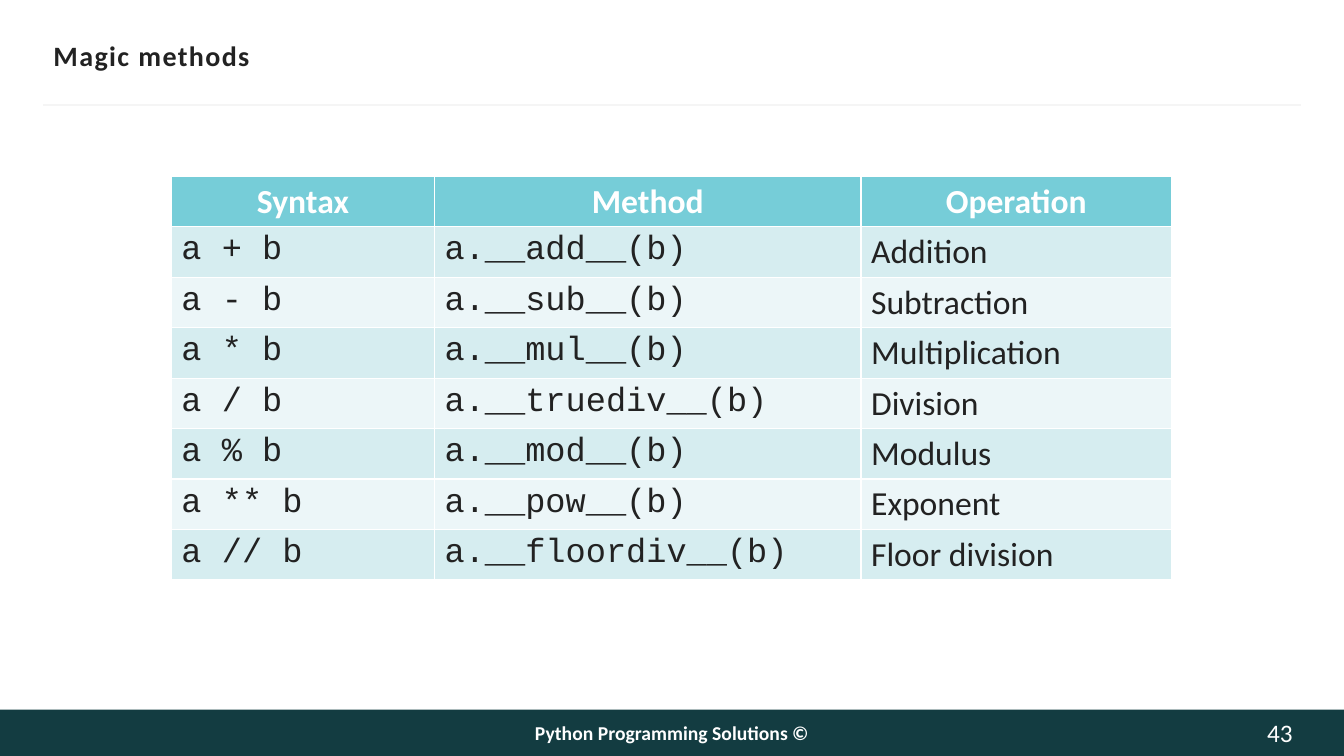
from pptx import Presentation
from pptx.dml.color import RGBColor
from pptx.enum.shapes import MSO_CONNECTOR as Line, MSO_SHAPE as Shape
from pptx.enum.text import MSO_ANCHOR as Anchor, PP_ALIGN as Align
from pptx.oxml.ns import qn
from pptx.util import Inches, Pt

WHITE = RGBColor(0xFF, 0xFF, 0xFF)
PAGE = RGBColor(0xFE, 0xFE, 0xFE)
INK = RGBColor(0x22, 0x22, 0x22)
DARK = RGBColor(0x13, 0x3C, 0x41)
RULE = RGBColor(0xF5, 0xF5, 0xF5)
HEAD = RGBColor(0x76, 0xCD, 0xD8)
BANDS = RGBColor(0xD6, 0xED, 0xF0), RGBColor(0xEC, 0xF6, 0xF8)


def write(frame, text, size, color, bold=False, align=Align.LEFT, face="Calibri"):
    para = frame.paragraphs[0]
    para.alignment = align
    run = para.add_run()
    run.text = text
    font = run.font
    font.name, font.size, font.bold = face, Pt(size), bold
    font.color.rgb = color
    return run


def add_box(left, top, width, height, side, edge, wrap):
    box = slide.shapes.add_textbox(Inches(left), Inches(top), Inches(width), Inches(height))
    frame = box.text_frame
    frame.word_wrap = wrap
    frame.vertical_anchor = Anchor.MIDDLE
    frame.margin_left = frame.margin_right = Inches(side)
    frame.margin_top = frame.margin_bottom = Inches(edge)
    return frame


deck = Presentation()
deck.slide_width, deck.slide_height = Inches(13.33), Inches(7.5)
slide = deck.slides.add_slide(deck.slide_layouts[6])

bar = slide.shapes.add_shape(Shape.RECTANGLE, 0, Inches(7.04), Inches(13.33), Inches(0.46))
bar.shadow.inherit = False
bar.fill.solid()
bar.fill.fore_color.rgb = DARK
bar.line.fill.background()

rule = slide.shapes.add_connector(
    Line.STRAIGHT, Inches(0.43), Inches(1.04), Inches(12.9), Inches(1.04))
rule.line.color.rgb = RULE
rule.line.width = Pt(1.5)
props = rule._element.spPr
props.append(props.makeelement(qn("a:effectLst"), {}))

title = add_box(0.53, 0.33, 12.29, 0.44, 0, 0.05, True)
run = write(title, "Magic methods", 20, INK, True)
run._r.get_or_add_rPr().set("spc", "100")

foot = add_box(3.5, 7.04, 6.33, 0.46, 0.1, 0.05, True)
write(foot, "Python Programming Solutions ©", 14, WHITE, True, Align.CENTER)

number = add_box(12.15, 7.04, 0.67, 0.46, 0, 0, True)
write(number, "43", 18, PAGE, align=Align.RIGHT)

heads = ["Syntax", "Method", "Operation"]
widths = [2.61, 4.23, 3.08]
faces = ["Courier New", "Courier New", "Calibri"]
methods = [
    ("+", "add", "Addition"),
    ("-", "sub", "Subtraction"),
    ("*", "mul", "Multiplication"),
    ("/", "truediv", "Division"),
    ("%", "mod", "Modulus"),
    ("**", "pow", "Exponent"),
    ("//", "floordiv", "Floor division"),
]
rows = [heads] + [(f"a {sign} b", f"a.__{name}__(b)", label) for sign, name, label in methods]

table = slide.shapes.add_table(
    len(rows), len(heads), Inches(1.7), Inches(1.75),
    Inches(sum(widths)), Inches(0.5 * len(rows))).table
for col, width in zip(table.columns, widths):
    col.width = Inches(width)
for i, row in enumerate(rows):
    for j, text in enumerate(row):
        cell = table.cell(i, j)
        cell.fill.solid()
        if i == 0:
            cell.fill.fore_color.rgb = HEAD
            write(cell.text_frame, text, 24, WHITE, True, Align.CENTER)
        else:
            cell.fill.fore_color.rgb = BANDS[(i - 1) % 2]
            write(cell.text_frame, text, 24, INK, face=faces[j])

deck.save("out.pptx")
